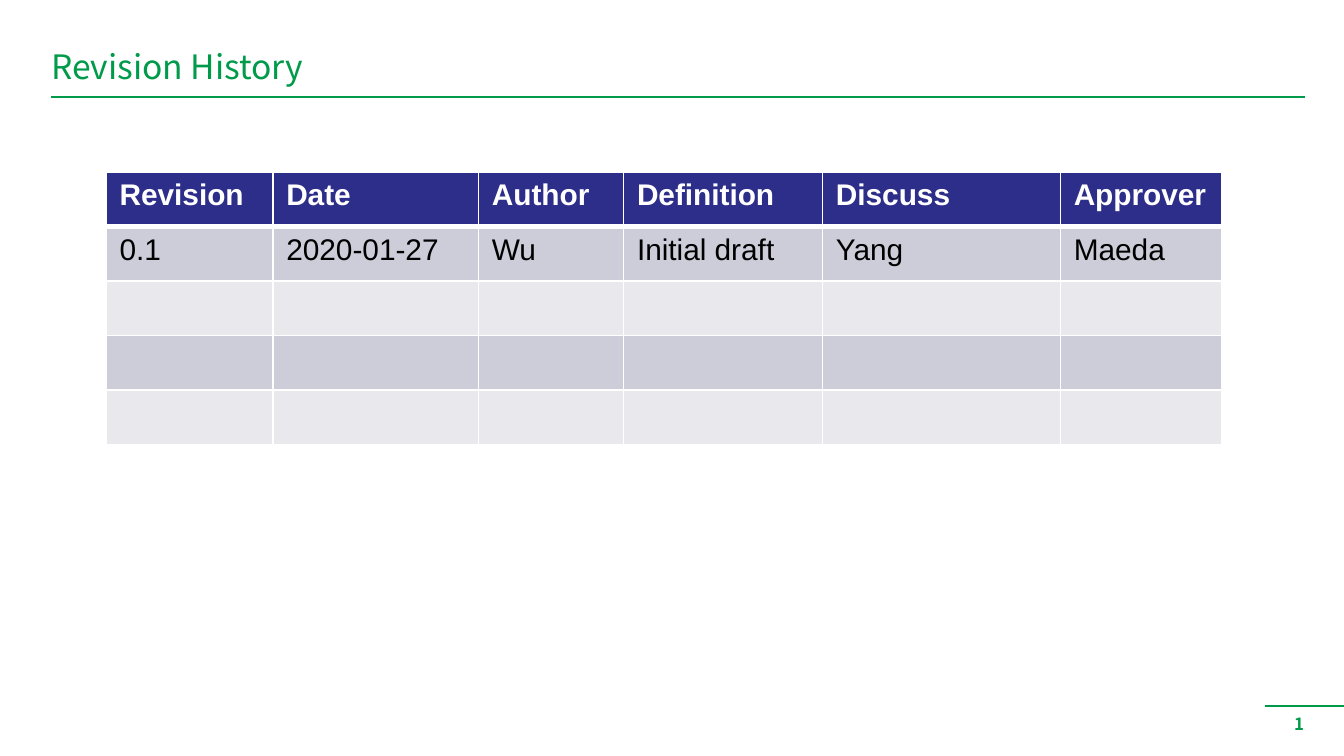
from lxml.etree import SubElement
from pptx import Presentation
from pptx.dml.color import RGBColor
from pptx.enum.shapes import MSO_CONNECTOR
from pptx.enum.text import MSO_ANCHOR
from pptx.oxml.ns import qn
from pptx.util import Inches, Pt

theme = {
    "green": "009B4A", "navy": "2D2D8A", "dark": "CDCDDA", "light": "E8E8ED",
    "white": "FFFFFF", "black": "000000",
    "head": "Noto Sans CJK JP", "body": "Arial",
    "title": 18, "cell": 16, "page": 9, "rule": 1, "thick": 3,
}

# A 16:9 slide
deck = Presentation()
deck.slide_width = Inches(10)
deck.slide_height = Inches(10) * 9 // 16
slide = deck.slides.add_slide(deck.slide_layouts[6])


def write(frame, text, font, size, color, bold=False):
    run = frame.paragraphs[0].add_run()
    run.text = text
    look = {"name": font, "size": Pt(size), "bold": bold}
    for key, value in look.items():
        setattr(run.font, key, value)
    run.font.color.rgb = RGBColor.from_string(color)


def edge(cell, side, width):
    line = SubElement(cell._tc.get_or_add_tcPr(), qn("a:ln" + side), w=str(Pt(width)))
    fill = SubElement(line, qn("a:solidFill"))
    SubElement(fill, qn("a:srgbClr"), val=theme["white"])


# Green rules above the page number and under the title
for left, right, top in [(9.41, 10, 5.25), (0.38, 9.71, 0.72)]:
    rule = slide.shapes.add_connector(
        MSO_CONNECTOR.STRAIGHT, Inches(left), Inches(top), Inches(right), Inches(top))
    rule.line.color.rgb = RGBColor.from_string(theme["green"])
    rule.line.width = Pt(theme["rule"])
    SubElement(rule._element.spPr, qn("a:effectLst"))

# Page number and title
labels = [
    ("1", (9.41, 5.26, 0.8, 0.5), "page", True, {"margin_left": Inches(0.22)}),
    ("Revision History", (0.29, 0.33, 7.66, 0.37), "title", False,
     {"vertical_anchor": MSO_ANCHOR.BOTTOM, "margin_left": Inches(0.09),
      "margin_bottom": Inches(0.06)}),
]
for text, place, size, bold, form in labels:
    frame = slide.shapes.add_textbox(*map(Inches, place)).text_frame
    for key, value in {"word_wrap": True, **form}.items():
        setattr(frame, key, value)
    write(frame, text, theme["head"], theme[size], theme["green"], bold)

# Revision table: header, one entry, three empty rows
rows = [
    ["Revision", "Date", "Author", "Definition", "Discuss", "Approver"],
    ["0.1", "2020-01-27", "Wu", "Initial draft", "Yang", "Maeda"],
] + [[""] * 6 for _ in range(3)]
widths = [1.24, 1.53, 1.08, 1.48, 1.77, 1.2]
table = slide.shapes.add_table(
    len(rows), len(widths), Inches(0.79), Inches(1.28), Inches(8.3), Inches(2.03)).table
for col, width in zip(table.columns, widths):
    col.width = Inches(width)

for r, row in enumerate(rows):
    first = r == 0
    tint = "navy" if first else "dark" if r % 2 else "light"
    for c, text in enumerate(row):
        cell = table.cell(r, c)
        for side in "LRTB":
            heavy = (first and side == "B") or (r == 1 and side == "T")
            edge(cell, side, theme["thick" if heavy else "rule"])
        cell.fill.solid()
        cell.fill.fore_color.rgb = RGBColor.from_string(theme[tint])
        if text:
            write(cell.text_frame, text, theme["body"], theme["cell"],
                  theme["white" if first else "black"], first)

deck.save("out.pptx")
